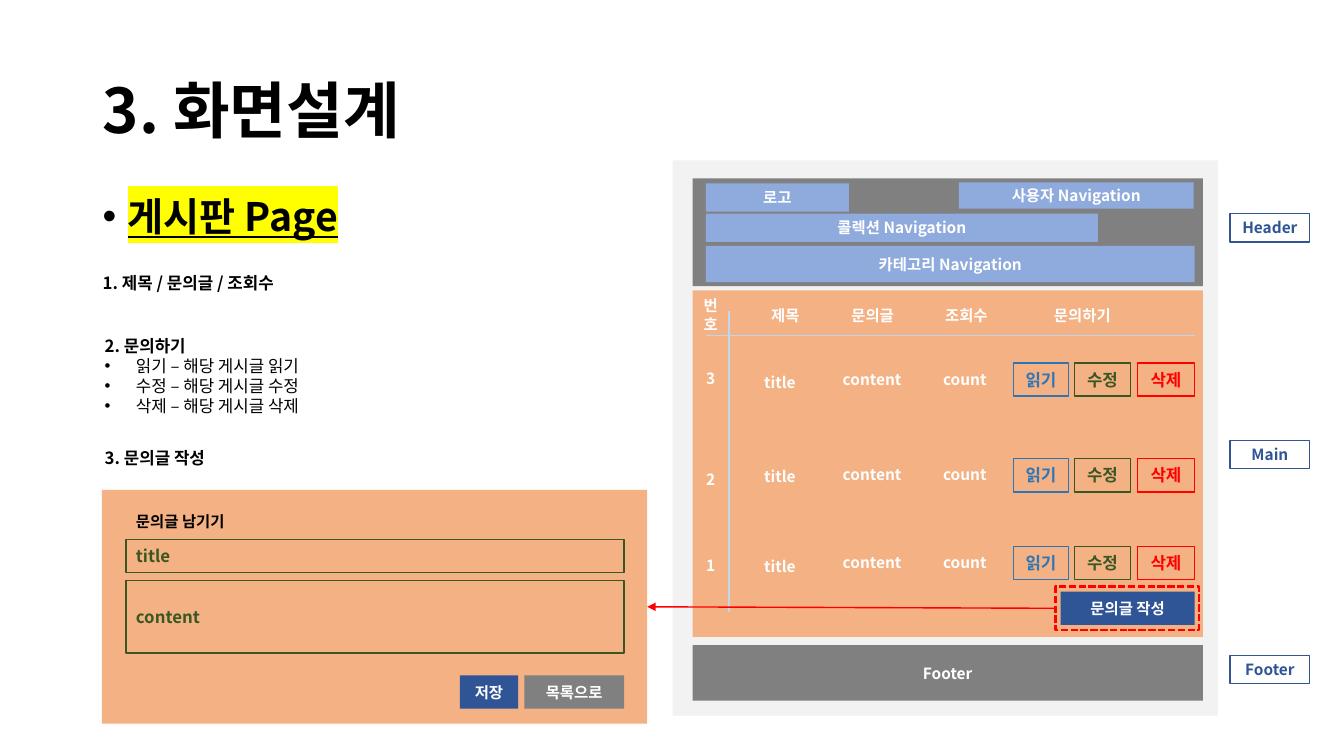
from lxml import etree
from pptx import Presentation
from pptx.dml.color import RGBColor
from pptx.enum.dml import MSO_LINE
from pptx.enum.shapes import MSO_CONNECTOR, MSO_SHAPE
from pptx.enum.text import MSO_ANCHOR, PP_ALIGN
from pptx.oxml.ns import qn
from pptx.util import Inches, Pt

RECTANGLE, STRAIGHT = MSO_SHAPE.RECTANGLE, MSO_CONNECTOR.STRAIGHT
LEFT, CENTER = PP_ALIGN.LEFT, PP_ALIGN.CENTER
TOP, MIDDLE = MSO_ANCHOR.TOP, MSO_ANCHOR.MIDDLE
SHORT_DASH = MSO_LINE.SQUARE_DOT


class Theme:
    font = "Noto Sans CJK KR"
    black, white, yellow = "000000", "FFFFFF", "FFFF00"
    frame, gray, orange, pale_blue = "F2F2F2", "808080", "F4B183", "8FAADC"
    navy, tag_line, rule = "2F5597", "325491", "BDD7EE"
    blue, green, red = "2E75B6", "385723", "FF0000"
    title, heading, body, label = 44, 28, 12, 11


def write(frame, text, size=Theme.label, color=Theme.white, bold=True, align=CENTER,
          spacing=None, before=None, bullet=None, underline=None, highlight=None):
    """Add one formatted paragraph; bullet is its hanging indent in inches."""
    para = frame.paragraphs[0]
    if para.runs:
        para = frame.add_paragraph()
    para.alignment = align
    if spacing:
        para.line_spacing = spacing
    if before:
        para.space_before = Pt(before)
    if bullet:
        properties = para._p.get_or_add_pPr()
        properties.set("marL", str(Inches(bullet)))
        properties.set("indent", str(-Inches(bullet)))
        etree.SubElement(properties, qn("a:buFont"), typeface="Arial")
        etree.SubElement(properties, qn("a:buChar"), char="•")
    span = para.add_run()
    span.text = text
    span.font.size, span.font.bold, span.font.underline = Pt(size), bold, underline
    span.font.color.rgb = RGBColor.from_string(color)
    span.font.name = Theme.font
    run_properties = span._r.get_or_add_rPr()
    east_asian = etree.Element(qn("a:ea"), typeface=Theme.font)
    run_properties.find(qn("a:latin")).addnext(east_asian)
    if highlight:
        marker = etree.Element(qn("a:highlight"))
        etree.SubElement(marker, qn("a:srgbClr"), val=highlight)
        run_properties.find(qn("a:solidFill")).addnext(marker)


def add_box(parent, at, text=None, fill=None, line=None, width=1, anchor=MIDDLE, **style):
    """Add a rectangle, or a text box when it has neither fill nor line."""
    place = [Inches(value) for value in at]
    if fill or line:
        box = parent.shapes.add_shape(RECTANGLE, *place)
        box.shadow.inherit = False
        if fill:
            box.fill.solid()
            box.fill.fore_color.rgb = RGBColor.from_string(fill)
        else:
            box.fill.background()
        if line:
            box.line.color.rgb = RGBColor.from_string(line)
            box.line.width = Pt(width)
        else:
            box.line.fill.background()
    else:
        box = parent.shapes.add_textbox(*place)
    box.text_frame.word_wrap = True
    box.text_frame.vertical_anchor = anchor
    if text:
        write(box.text_frame, text, **style)
    return box


deck = Presentation()
deck.slide_width, deck.slide_height = Inches(13.33), Inches(7.5)
page = deck.slides.add_slide(deck.slide_layouts[5])

# Title and heading
title = page.shapes.title
title.left, title.top, title.width, title.height = (
    Inches(value) for value in (0.92, 0.4, 11.5, 1.45))
title.text_frame.vertical_anchor = MIDDLE
write(title.text_frame, "3. 화면설계", size=Theme.title, color=Theme.black,
      align=LEFT, spacing=0.9)
add_box(page, (0.92, 1.91, 5.61, 0.57), "게시판 Page", anchor=TOP, size=Theme.heading,
        color=Theme.black, align=LEFT, spacing=0.9, before=10, bullet=0.25,
        underline=True, highlight=Theme.yellow)

# Description list
note_style = dict(size=Theme.body, color=Theme.black, align=LEFT)
notes = [
    ((0.92, 2.66, 5.61, 0.3), "1. 제목 / 문의글 / 조회수", []),
    ((0.94, 3.28, 5.61, 0.91), "2. 문의하기",
     ["읽기 – 해당 게시글 읽기", "수정 – 해당 게시글 수정", "삭제 – 해당 게시글 삭제"]),
    ((0.94, 4.39, 5.61, 0.3), "3. 문의글 작성", []),
]
for at, heading, items in notes:
    note = add_box(page, at, heading, anchor=TOP, **note_style)
    for item in items:
        write(note.text_frame, item, bold=False, bullet=0.31, **note_style)

# Page mockup: frame, header, main and footer areas
mockup = [
    ((6.67, 1.59, 5.41, 5.51), None, Theme.frame),
    ((6.87, 1.77, 5.06, 1.07), None, Theme.gray),
    ((7, 1.82, 1.42, 0.28), "로고", Theme.pale_blue),
    ((9.51, 1.81, 2.33, 0.26), "사용자 Navigation", Theme.pale_blue),
    ((7, 2.12, 3.89, 0.28), "콜렉션 Navigation", Theme.pale_blue),
    ((7, 2.44, 4.85, 0.36), "카테고리 Navigation", Theme.pale_blue),
    ((6.87, 2.88, 5.06, 3.44), None, Theme.orange),
    ((6.87, 6.4, 5.06, 0.55), "Footer", Theme.gray),
]
for at, text, fill in mockup:
    add_box(page, at, text, fill=fill)

# Area tags
for top, text in [(2.12, "Header"), (4.37, "Main"), (6.5, "Footer")]:
    add_box(page, (12.2, top, 0.79, 0.28), text, line=Theme.tag_line, color=Theme.navy)

# Board rules
for start_x, start_y, end_x, end_y in [(7, 3.33, 11.85, 3.33), (7.23, 3.09, 7.23, 6.07)]:
    rule = page.shapes.add_connector(STRAIGHT, Inches(start_x), Inches(start_y),
                                     Inches(end_x), Inches(end_y))
    rule.line.color.rgb = RGBColor.from_string(Theme.rule)
    rule.line.width = Pt(1)
    etree.SubElement(rule._element.spPr, qn("a:effectLst"))

# Board column headings
columns = [(6.87, 0.36, "번호"), (7.24, 1.1, "제목"), (8.3, 0.71, "문의글"),
           (9.23, 0.71, "조회수"), (10.11, 1.25, "문의하기")]
for left, width, text in columns:
    add_box(page, (left, 2.94, width, 0.37), text)

# Board rows: number, then tops of number, title, content and buttons
rows = [("3", 3.57, 3.48, 3.45, 3.6), ("2", 4.57, 4.41, 4.39, 4.55),
        ("1", 5.42, 5.3, 5.26, 5.42)]
buttons = [(10.05, 0.55, "읽기", Theme.blue), (10.66, 0.55, "수정", Theme.green),
           (11.28, 0.57, "삭제", Theme.red)]
for number, number_top, title_top, content_top, button_top in rows:
    add_box(page, (6.87, number_top, 0.36, 0.37), number)
    add_box(page, (7.39, title_top, 0.69, 0.63), "title")
    add_box(page, (8.08, content_top, 1.14, 0.63), "content")
    add_box(page, (9.22, content_top, 0.7, 0.63), "count")
    for left, width, text, color in buttons:
        add_box(page, (left, button_top, width, 0.33), text, line=color,
                size=Theme.body, color=color)
add_box(page, (10.52, 5.87, 1.33, 0.33), "문의글 작성", fill=Theme.navy)

# Writing form
form = page.shapes.add_group_shape()
form_panel = add_box(form, (1.01, 4.86, 5.41, 2.32), fill=Theme.orange)
add_box(form, (1.25, 5.01, 1.27, 0.33), "문의글 남기기", color=Theme.black, align=LEFT)
for top, height, text in [(5.35, 0.33, "title"), (5.76, 0.72, "content")]:
    add_box(form, (1.25, top, 4.94, height), text, line=Theme.green,
            size=Theme.body, color=Theme.green, align=LEFT)
add_box(form, (4.56, 6.7, 0.58, 0.33), "저장", fill=Theme.navy)
add_box(form, (5.2, 6.7, 0.99, 0.33), "목록으로", fill=Theme.gray)

# Highlighted write button and its arrow to the form
focus = add_box(page, (10.47, 5.82, 1.42, 0.43), line=Theme.red, width=1.75)
focus.line.dash_style = SHORT_DASH
arrow = page.shapes.add_connector(STRAIGHT, Inches(10.47), Inches(6.03),
                                  Inches(6.42), Inches(6.02))
arrow.begin_connect(focus, 1)
arrow.end_connect(form_panel, 3)
arrow.line.color.rgb = RGBColor.from_string(Theme.red)
arrow.line.width = Pt(1)
etree.SubElement(arrow.line._get_or_add_ln(), qn("a:tailEnd"), type="triangle")
etree.SubElement(arrow._element.spPr, qn("a:effectLst"))

deck.save("out.pptx")
